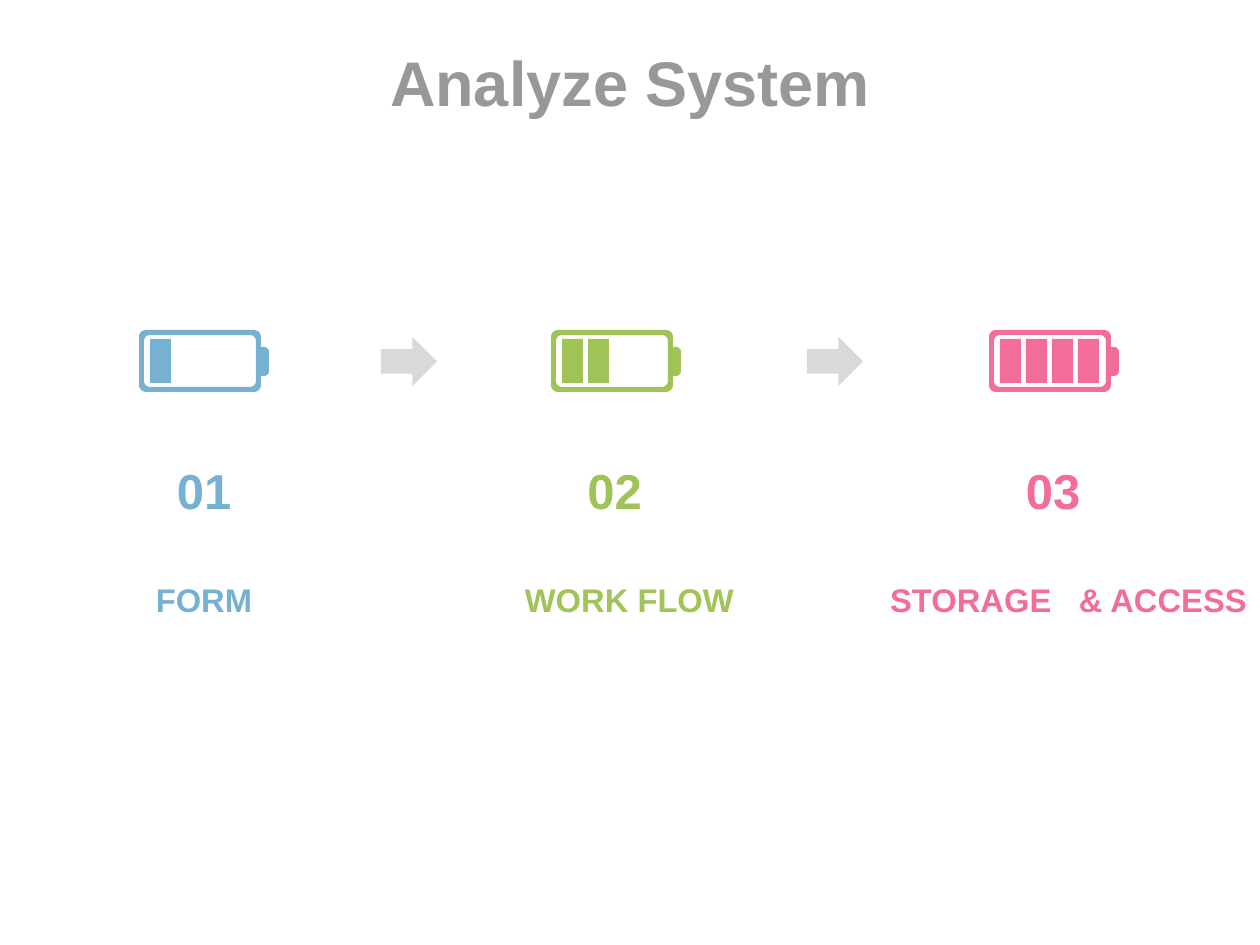
"""Build the "Analyze System" slide with three charging stages."""
import math

from pptx import Presentation
from pptx.dml.color import RGBColor
from pptx.enum.shapes import MSO_SHAPE
from pptx.enum.text import MSO_ANCHOR, MSO_AUTO_SIZE, PP_ALIGN
from pptx.util import Emu, Pt

RIGHT_ARROW = MSO_SHAPE.RIGHT_ARROW
MIDDLE = MSO_ANCHOR.MIDDLE
NO_AUTOFIT = MSO_AUTO_SIZE.NONE
CENTER = PP_ALIGN.CENTER

GRAY = RGBColor(0x98, 0x98, 0x98)
LIGHT_GRAY = RGBColor(0xD9, 0xD9, 0xD9)
BLUE = RGBColor(0x76, 0xB1, 0xD1)
GREEN = RGBColor(0xA0, 0xC3, 0x58)
LABEL_GREEN = RGBColor(0xA0, 0xC4, 0x58)
PINK = RGBColor(0xF2, 0x6D, 0x9A)

EMU_PER_PX = 914400 / 168
WIDTH, HEIGHT = 1260, 945
BATTERY_TOP = 330
CELL_PITCH = 26
NUMBER_TOP, NUMBER_HEIGHT = 447, 75
LABEL_TOP, LABEL_HEIGHT = 570, 57
ARROW_LEFTS = (381, 807)

STAGES = (
    (139, 1, "01", (158, 92), ("FORM",), (82, 244), BLUE, BLUE),
    (551, 2, "02", (564, 101), ("WORK FLOW",), (442, 375), GREEN, LABEL_GREEN),
    (989, 4, "03", (1006, 94), ("STORAGE", "& ACCESS"), (776, 585), PINK, PINK),
)


def px(length):
    """Turn pixels into EMU."""
    return Emu(round(length * EMU_PER_PX))


def rounded_outline(left, top, width, height, left_radius=0, right_radius=0):
    """Return the points of a rectangle with rounded left and right corners."""
    right, bottom = left + width, top + height
    corners = (
        (left + left_radius, top + left_radius, left_radius, 180),
        (right - right_radius, top + right_radius, right_radius, 270),
        (right - right_radius, bottom - right_radius, right_radius, 0),
        (left + left_radius, bottom - left_radius, left_radius, 90),
    )
    points = []
    for x, y, radius, start in corners:
        for turn in range(0, 91, 15) if radius else (0,):
            angle = math.radians(start + turn)
            points.append((px(x + radius * math.cos(angle)),
                           px(y + radius * math.sin(angle))))
    return points


class Page:
    """Hold the text style and the current slide."""

    def __init__(self, deck, font="Arial"):
        """Add a title-only slide to the deck."""
        self.font = font
        self.slide = deck.slides.add_slide(deck.slide_layouts[5])

    def set_text(self, box, *pieces, size, color, drop, gap=0):
        """Set bold centred pieces, parted by a space widened by gap points."""
        frame = box.text_frame
        frame.word_wrap = True
        frame.auto_size = NO_AUTOFIT
        frame.vertical_anchor = MIDDLE
        frame.margin_left = frame.margin_right = frame.margin_bottom = 0
        frame.margin_top = px(drop)
        para = frame.paragraphs[0]
        para.alignment = CENTER
        for index, piece in enumerate(pieces):
            for text in (" ", piece) if index else (piece,):
                span = para.add_run()
                span.text = text
                span.font.name = self.font
                span.font.size = Pt(size)
                span.font.bold = True
                span.font.color.rgb = color
                if text == " ":
                    span._r.get_or_add_rPr().set("spc", str(round(gap * 100)))

    def title(self, text):
        """Place and fill the title placeholder."""
        box = self.slide.shapes.title
        box.left, box.top, box.width, box.height = 0, px(5), px(WIDTH), px(143)
        self.set_text(box, text, size=27, color=GRAY, drop=10)

    def text(self, left, top, width, height, *pieces, **style):
        """Add a text box."""
        box = self.slide.shapes.add_textbox(px(left), px(top), px(width), px(height))
        self.set_text(box, *pieces, **style)

    def paint(self, shape, color):
        """Give a shape a plain fill without line or shadow."""
        shape.shadow.inherit = False
        shape.fill.solid()
        shape.fill.fore_color.rgb = color
        shape.line.fill.background()

    def arrow(self, left):
        """Add an arrow between two stages."""
        shape = self.slide.shapes.add_shape(
            RIGHT_ARROW, px(left), px(337), px(56), px(49))
        self.paint(shape, LIGHT_GRAY)

    def battery(self, left, cells, color):
        """Add a battery with some charged cells as one outline."""
        top = BATTERY_TOP
        outlines = [
            rounded_outline(left, top, 122, 62, 7, 7),
            rounded_outline(left + 5, top + 5, 112, 52, 6, 6),
            rounded_outline(left + 122, top + 17, 8, 29, right_radius=5),
        ]
        outlines += [rounded_outline(left + 11 + CELL_PITCH * cell, top + 9, 21, 44)
                     for cell in range(cells)]
        builder = self.slide.shapes.build_freeform(*outlines[0][0])
        for outline in outlines:
            builder.move_to(*outline[0])
            builder.add_line_segments(outline[1:], close=True)
        self.paint(builder.convert_to_shape(), color)


def main():
    """Build and save the deck."""
    deck = Presentation()
    deck.slide_width, deck.slide_height = px(WIDTH), px(HEIGHT)
    page = Page(deck)
    page.title("Analyze System")
    for left, cells, number, number_box, label, label_box, color, label_color in STAGES:
        page.battery(left, cells, color)
        page.text(number_box[0], NUMBER_TOP, number_box[1], NUMBER_HEIGHT,
                  number, size=21, color=color, drop=10)
        page.text(label_box[0], LABEL_TOP, label_box[1], LABEL_HEIGHT,
                  *label, size=14, color=label_color, drop=3, gap=7.8)
    for left in ARROW_LEFTS:
        page.arrow(left)
    deck.save("out.pptx")


if __name__ == "__main__":
    main()
